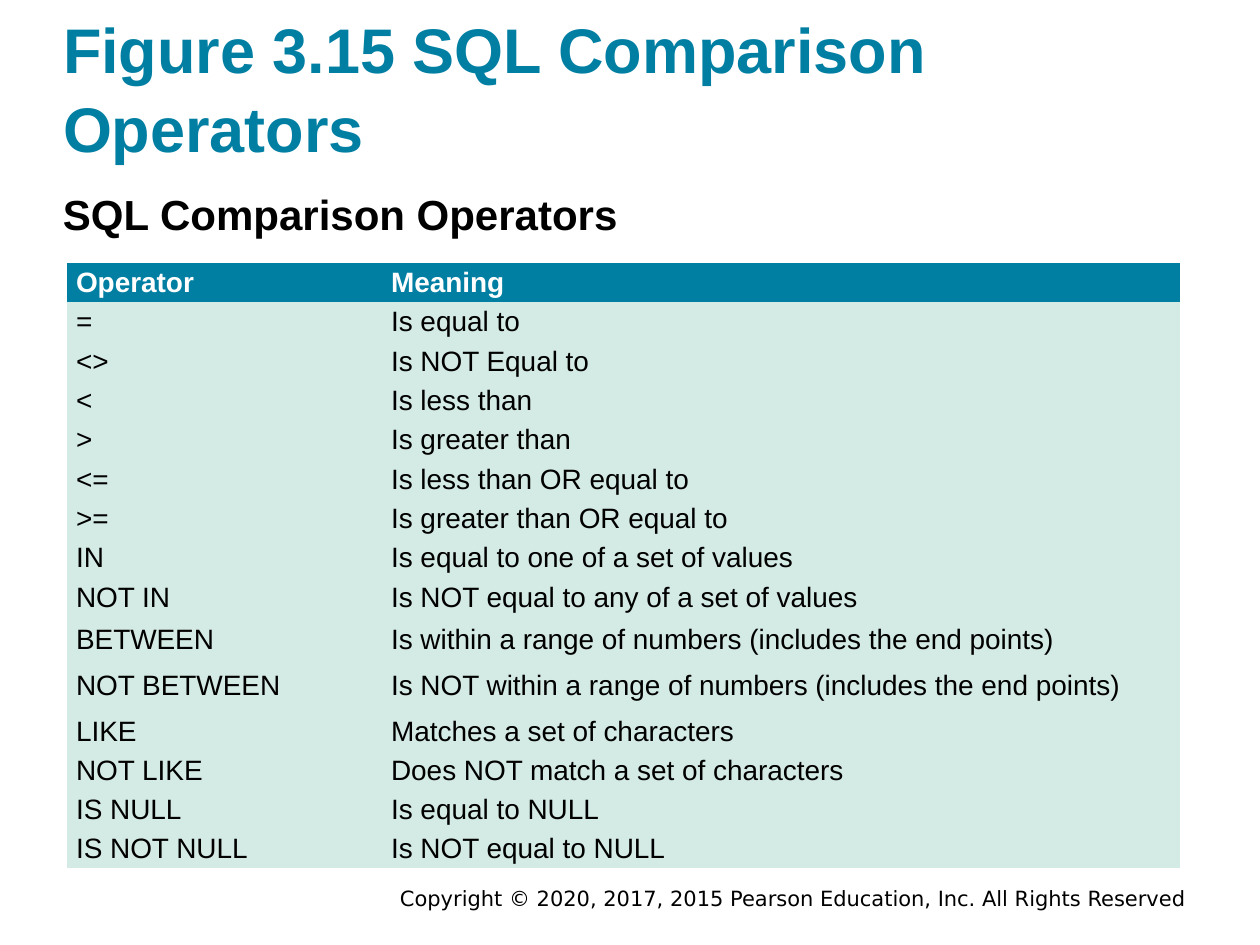
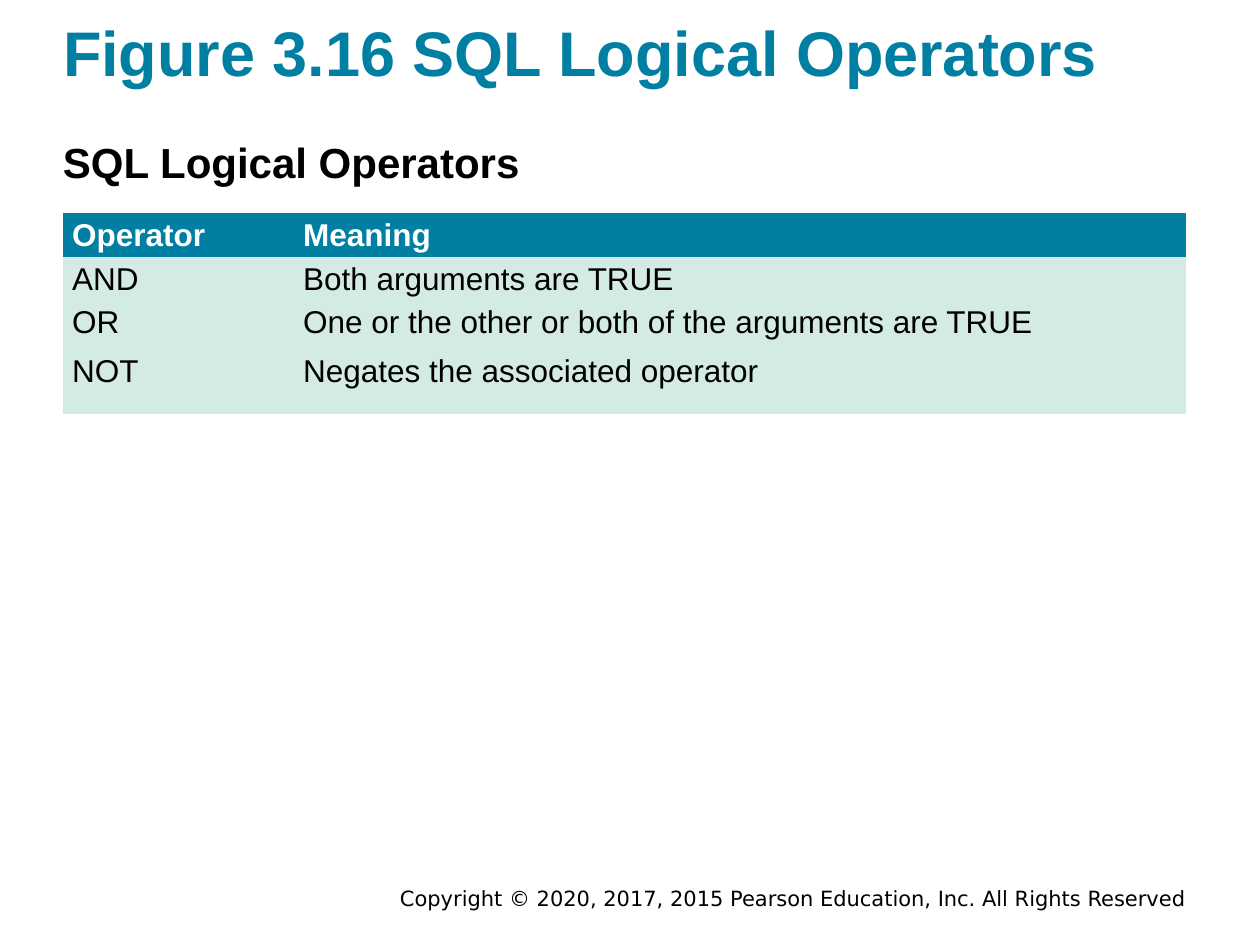
from pptx import Presentation
from pptx.dml.color import RGBColor
from pptx.enum.text import MSO_ANCHOR, MSO_AUTO_SIZE, PP_ALIGN
from pptx.util import Pt

LEFT, RIGHT = PP_ALIGN.LEFT, PP_ALIGN.RIGHT
MIDDLE = MSO_ANCHOR.MIDDLE
FIXED = MSO_AUTO_SIZE.NONE
TEAL = RGBColor(0x00, 0x7F, 0xA3)
MINT = RGBColor(0xD4, 0xEA, 0xE4)
BLACK = RGBColor(0x00, 0x00, 0x00)
WHITE = RGBColor(0xFF, 0xFF, 0xFF)
PLAIN = "{2D5ABB26-0587-4C30-8999-92F81FD0307C}"
EDGE, WIDE = 36, 648
HEAD = ("Operator", "Meaning")
RIGHTS = "Copyright © 2020, 2017, 2015 Pearson Education, Inc. All Rights Reserved"

COMPARE = [
    ("=", "Is equal to"),
    ("<>", "Is NOT Equal to"),
    ("<", "Is less than"),
    (">", "Is greater than"),
    ("<=", "Is less than OR equal to"),
    (">=", "Is greater than OR equal to"),
    ("IN", "Is equal to one of a set of values"),
    ("NOT IN", "Is NOT equal to any of a set of values"),
    ("BETWEEN", "Is within a range of numbers (includes the end points)"),
    ("NOT BETWEEN", "Is NOT within a range of numbers (includes the end points)"),
    ("LIKE", "Matches a set of characters"),
    ("NOT LIKE", "Does NOT match a set of characters"),
    ("IS NULL", "Is equal to NULL"),
    ("IS NOT NULL", "Is NOT equal to NULL"),
]
LOGIC = [
    ("AND", "Both arguments are TRUE"),
    ("OR", "One or the other or both of the arguments are TRUE"),
    ("NOT", "Negates the associated operator"),
]


def style(para, size, color, bold=False, face="Arial", align=LEFT, lead=None):
    para.alignment = align
    para.line_spacing = lead
    font = para.font
    font.name, font.size, font.bold = face, Pt(size), bold
    font.color.rgb = color


def pad(frame, side=0):
    frame.margin_left = frame.margin_right = Pt(side)
    frame.margin_top = frame.margin_bottom = 0


def place(shape, left, top, width, height):
    shape.left, shape.top = Pt(left), Pt(top)
    shape.width, shape.height = Pt(width), Pt(height)


def add_text(slide, text, left, top, width, height):
    box = slide.shapes.add_textbox(Pt(left), Pt(top), Pt(width), Pt(height))
    frame = box.text_frame
    frame.word_wrap = True
    frame.text = text
    return frame


def add_title(slide, text, height):
    title = slide.shapes.title
    place(title, EDGE, 4.5, WIDE, height)
    frame = title.text_frame
    frame.text = text
    frame.auto_size = FIXED
    frame.vertical_anchor = MIDDLE
    pad(frame)
    style(frame.paragraphs[0], 36, TEAL, True, lead=1.05)


def add_label(slide, text, top):
    frame = add_text(slide, text, EDGE, top, WIDE, 33)
    pad(frame)
    style(frame.paragraphs[0], 24, BLACK, True)


def add_footer(slide):
    frame = add_text(slide, RIGHTS, 121, 502.5, 564, 21.6)
    style(frame.paragraphs[0], 12, BLACK, face="DejaVu Sans", align=RIGHT)


def add_grid(slide, data, left, top, widths, heights, size, loose=()):
    rows = [HEAD, *data]
    frame = slide.shapes.add_table(len(rows), len(HEAD), Pt(left), Pt(top),
                                   Pt(sum(widths)), Pt(sum(heights)))
    frame._element.xpath(".//a:tableStyleId")[0].text = PLAIN
    grid = frame.table
    grid.horz_banding = False
    for col, width in zip(grid.columns, widths):
        col.width = Pt(width)
    for r, (row, height) in enumerate(zip(rows, heights)):
        grid.rows[r].height = Pt(height)
        top_row = r == 0
        for c, text in enumerate(row):
            cell = grid.cell(r, c)
            cell.text = text
            pad(cell, 5.25)
            cell.fill.solid()
            cell.fill.fore_color.rgb = TEAL if top_row else MINT
            style(cell.text_frame.paragraphs[0], size,
                  WHITE if top_row else BLACK, top_row,
                  lead=1.36 if row[0] in loose else 1.15)


def add_page(deck, title, height, label, top):
    slide = deck.slides.add_slide(deck.slide_layouts[5])
    add_title(slide, title, height)
    add_label(slide, label, top)
    add_footer(slide)
    return slide


def main():
    deck = Presentation()
    deck.slide_width, deck.slide_height = Pt(720), Pt(540)

    slide = add_page(deck, "Figure 3.15 SQL Comparison Operators", 89.5,
                     "SQL Comparison Operators", 107.5)
    heights = [22.5] * 8 + [24.5, 22.5, 20, 26, 19, 22.5, 22.5]
    add_grid(slide, COMPARE, 38.25, 150, (180, 456), heights, 16,
             ("NOT BETWEEN", "LIKE"))

    slide = add_page(deck, "Figure 3.16 SQL Logical Operators", 47.5,
                     "SQL Logical Operators", 78)
    add_grid(slide, LOGIC, EDGE, 121.75, (132, 510), (23.5, 23.5, 28, 37), 18)

    deck.save("out.pptx")


if __name__ == "__main__":
    main()
